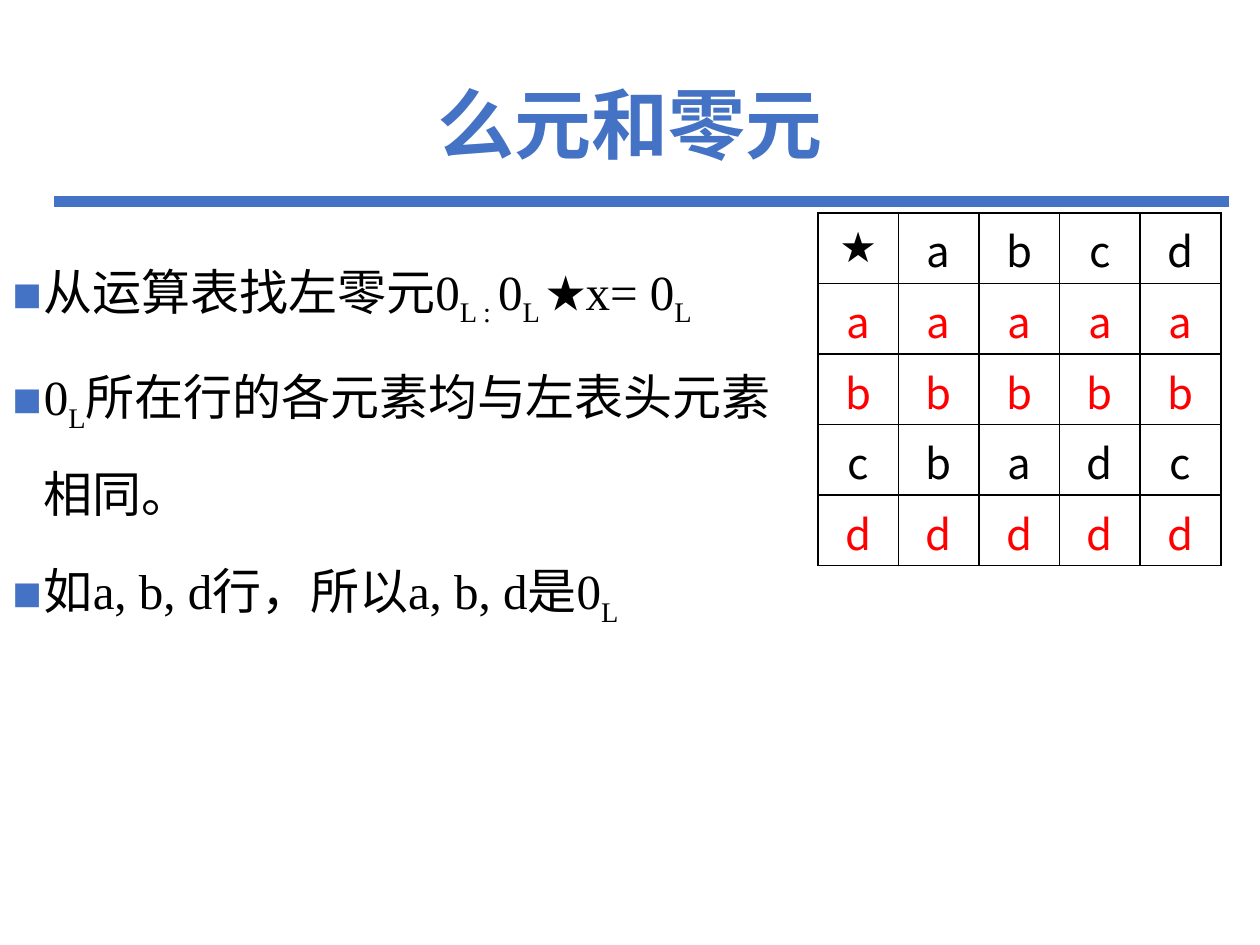
from lxml.etree import SubElement
from pptx import Presentation
from pptx.dml.color import RGBColor
from pptx.enum.shapes import MSO_CONNECTOR
from pptx.enum.text import MSO_ANCHOR, PP_ALIGN
from pptx.oxml.ns import qn
from pptx.util import Inches, Pt

COLORS = {"accent": "4472C4", "text": "000000", "zero": "FF0000"}
CJK_FONT = "Noto Sans CJK SC"
BODY_FONT = "Times New Roman"
TITLE = "么元和零元"
BULLETS = [
    ["从运算表找左零元0", "L : ", "0", "L ", "★x= 0", "L"],
    ["0", "L", "所在行的各元素均与左表头元素相同。"],
    ["如a, b, d行，所以a, b, d是0", "L"],
]
OPERATION_ROWS = ["★abcd", "aaaaa", "bbbbb", "cbadc", "ddddd"]
CELL_WIDTH, CELL_HEIGHT = 0.64, 0.56


def rgb(name):
    """Return the named colour."""
    return RGBColor.from_string(COLORS[name])


def format_run(run, size, font, color, bold=False):
    """Set the Latin and East Asian fonts, size and colour of a run."""
    run.font.size = Pt(size)
    run.font.name = font
    run.font.bold = bold
    run.font.color.rgb = rgb(color)
    SubElement(run.font._element, qn("a:ea"), typeface=CJK_FONT)


def add_text_box(slide, left, top, width, height):
    """Add a wrapping text box and return its text frame."""
    shape = slide.shapes.add_textbox(
        Inches(left), Inches(top), Inches(width), Inches(height))
    shape.text_frame.word_wrap = True
    return shape.text_frame


def add_title(slide):
    """Add the centred slide title."""
    text_frame = add_text_box(slide, 0.69, 0.4, 8.62, 1.24)
    text_frame.text = TITLE
    text_frame.vertical_anchor = MSO_ANCHOR.MIDDLE
    paragraph = text_frame.paragraphs[0]
    paragraph.alignment = PP_ALIGN.CENTER
    paragraph.line_spacing = 0.9
    format_run(paragraph.runs[0], 44, CJK_FONT, "accent", bold=True)


def add_rule(slide):
    """Add the thick line under the title."""
    line = slide.shapes.add_connector(
        MSO_CONNECTOR.STRAIGHT, Inches(0.43), Inches(1.6), Inches(9.75), Inches(1.6))
    line.line.color.rgb = rgb("accent")
    line.line.width = Pt(6)
    SubElement(line._element.spPr, qn("a:effectLst"))


def add_bullet_mark(paragraph):
    """Give a paragraph a hanging square bullet."""
    properties = paragraph._p.get_or_add_pPr()
    properties.set("marL", str(Inches(0.25)))
    properties.set("indent", str(Inches(-0.25)))
    color = SubElement(properties, qn("a:buClr"))
    SubElement(color, qn("a:srgbClr"), val=COLORS["accent"])
    SubElement(properties, qn("a:buFont"), typeface=BODY_FONT)
    SubElement(properties, qn("a:buChar"), char="■")


def add_bullets(slide):
    """Add the bullet list, where every second piece is a subscript."""
    text_frame = add_text_box(slide, 0, 1.76, 6.44, 5.39)
    for index, pieces in enumerate(BULLETS):
        paragraph = text_frame.add_paragraph() if index else text_frame.paragraphs[0]
        add_bullet_mark(paragraph)
        paragraph.line_spacing = 1.5
        paragraph.space_before = Pt(3 if index else 0)
        for position, piece in enumerate(pieces):
            run = paragraph.add_run()
            run.text = piece
            format_run(run, 28, BODY_FONT, "text")
            if position % 2:
                run.font._element.set("baseline", "-25000")


def add_borders(cell):
    """Draw thin black borders around a cell."""
    properties = cell._tc.get_or_add_tcPr()
    for index, side in enumerate(("lnL", "lnR", "lnT", "lnB")):
        border = properties.makeelement(qn(f"a:{side}"), {"w": str(Pt(1))})
        fill = SubElement(border, qn("a:solidFill"))
        SubElement(fill, qn("a:srgbClr"), val=COLORS["text"])
        properties.insert(index, border)


def add_operation_table(slide):
    """Add the operation table with the left zero rows in red."""
    size = len(OPERATION_ROWS)
    table = slide.shapes.add_table(
        size, size, Inches(6.49), Inches(1.69),
        Inches(size * CELL_WIDTH), Inches(size * CELL_HEIGHT)).table
    table.first_row = table.horz_banding = False
    for row_index, symbols in enumerate(OPERATION_ROWS):
        color = "zero" if len(set(symbols)) == 1 else "text"
        for column_index, symbol in enumerate(symbols):
            cell = table.cell(row_index, column_index)
            cell.text = symbol
            cell.vertical_anchor = MSO_ANCHOR.MIDDLE
            cell.fill.background()
            add_borders(cell)
            paragraph = cell.text_frame.paragraphs[0]
            paragraph.alignment = PP_ALIGN.CENTER
            font = "Calibri" if symbol == "★" else CJK_FONT
            format_run(paragraph.runs[0], 24, font, color)


def main():
    """Build and save the slide."""
    presentation = Presentation()
    presentation.slide_width = Inches(10)
    presentation.slide_height = Inches(7.5)
    slide = presentation.slides.add_slide(presentation.slide_layouts[6])
    add_rule(slide)
    add_bullets(slide)
    add_operation_table(slide)
    add_title(slide)
    presentation.save("out.pptx")


if __name__ == "__main__":
    main()
